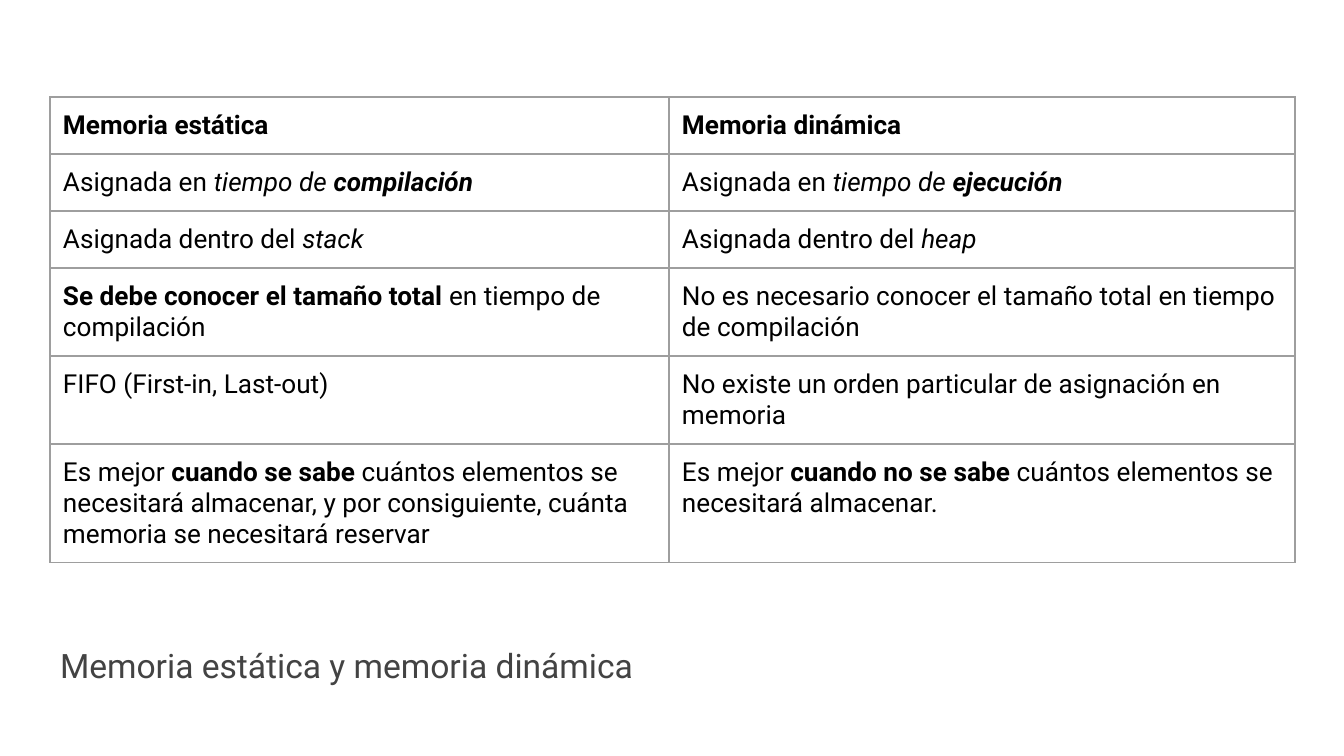
from pptx import Presentation
from pptx.dml.color import RGBColor
from pptx.enum.text import MSO_ANCHOR, PP_ALIGN
from pptx.oxml import parse_xml
from pptx.oxml.ns import nsdecls
from pptx.util import Pt

SCALE = 914400 / 134.4
PAD = 13
LINE = 31


def px(num):
    return round(num * SCALE)


def color(code):
    return RGBColor.from_string(code)


def assign(item, values):
    for name, value in values.items():
        setattr(item, name, value)


class Deck:
    font = "Roboto"
    ink = "000000"
    soft = "434343"
    rule = "9E9E9E"
    inset = dict.fromkeys(
        ("margin_left", "margin_top", "margin_right", "margin_bottom"), px(PAD))

    def __init__(self, width, height):
        self.file = Presentation()
        assign(self.file, {"slide_width": px(width), "slide_height": px(height)})
        self.slide = self.file.slides.add_slide(self.file.slide_layouts[1])
        title = self.slide.shapes.title
        title.element.getparent().remove(title.element)

    def text(self, para, runs, size, code):
        assign(para, {"alignment": PP_ALIGN.LEFT, "space_before": Pt(0), "line_spacing": 1.0})
        for words, style in runs:
            run = para.add_run()
            run.text = words
            assign(run.font, {"name": self.font, "size": Pt(size),
                              "bold": "b" in style, "italic": "i" in style})
            run.font.color.rgb = color(code)

    def caption(self, words, left, top, width, height):
        body = self.slide.placeholders[1]
        assign(body, {"left": px(left), "top": px(top),
                      "width": px(width), "height": px(height)})
        frame = body.text_frame
        assign(frame, {**self.inset, "word_wrap": True,
                       "vertical_anchor": MSO_ANCHOR.MIDDLE})
        para = frame.paragraphs[0]
        props = para._p.get_or_add_pPr()
        props.set("marL", "0")
        props.set("indent", "0")
        props.append(parse_xml(f"<a:buNone {nsdecls('a')}/>"))
        self.text(para, [(words, "")], 18, self.soft)

    def border(self, cell):
        props = cell._tc.get_or_add_tcPr()
        for side in "LRTB":
            props.append(parse_xml(
                f'<a:ln{side} {nsdecls("a")} w="{int(Pt(0.75))}"><a:solidFill>'
                f'<a:srgbClr val="{self.rule}"/></a:solidFill></a:ln{side}>'))

    def table(self, left, top, widths, rows):
        heights = [2 * PAD + LINE * lines for lines, *_ in rows]
        frame = self.slide.shapes.add_table(
            len(rows), len(widths), px(left), px(top), px(sum(widths)), px(sum(heights)))
        grid = frame.table
        assign(grid, {"first_row": False, "horz_banding": False})
        for col, width in zip(grid.columns, widths):
            col.width = px(width)
        for row, height, (_, *texts) in zip(grid.rows, heights, rows):
            row.height = px(height)
            for cell, runs in zip(row.cells, texts):
                assign(cell, {**self.inset, "vertical_anchor": MSO_ANCHOR.TOP})
                self.border(cell)
                cell.fill.background()
                self.text(cell.text_frame.paragraphs[0], runs, 14, self.ink)


ROWS = [
    (1, [("Memoria estática", "b")], [("Memoria dinámica", "b")]),
    (1, [("Asignada en ", ""), ("tiempo de ", "i"), ("compilación", "bi")],
        [("Asignada en ", ""), ("tiempo de ", "i"), ("ejecución", "bi")]),
    (1, [("Asignada dentro del ", ""), ("stack", "i")],
        [("Asignada dentro del ", ""), ("heap", "i")]),
    (2, [("Se debe conocer el tamaño total", "b"), (" en tiempo de compilación", "")],
        [("No es necesario conocer el tamaño total en tiempo de compilación", "")]),
    (2, [("FIFO (First-in, Last-out)", "")],
        [("No existe un orden particular de asignación en memoria", "")]),
    (3, [("Es mejor ", ""), ("cuando se sabe", "b"),
         (" cuántos elementos se necesitará almacenar, y por consiguiente, "
          "cuánta memoria se necesitará reservar", "")],
        [("Es mejor ", ""), ("cuando no se sabe", "b"),
         (" cuántos elementos se necesitará almacenar.", "")]),
]


def main():
    deck = Deck(1344, 756)
    deck.caption("Memoria estática y memoria dinámica", 47, 622, 882, 87)
    deck.table(50, 97, [619, 626], ROWS)
    deck.file.save("out.pptx")


if __name__ == "__main__":
    main()
